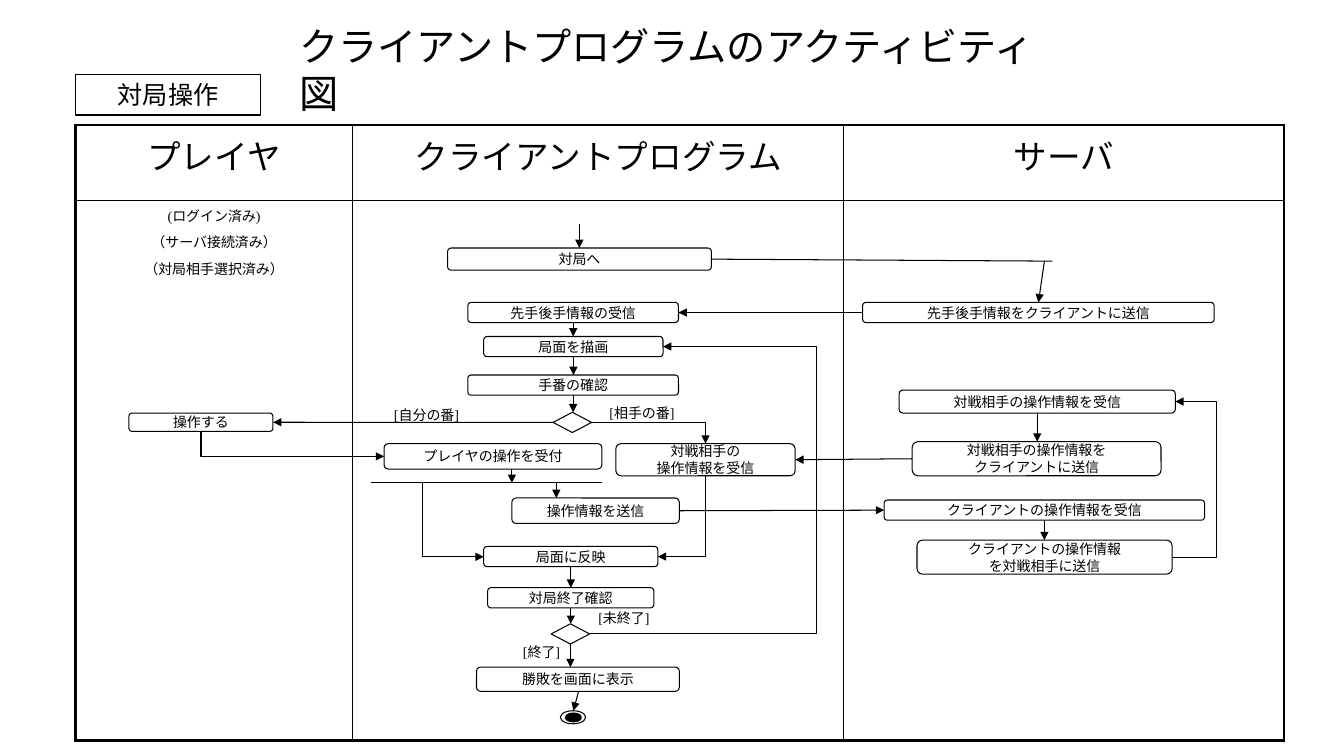
from pptx import Presentation
from pptx.dml.color import RGBColor
from pptx.enum.shapes import MSO_CONNECTOR, MSO_SHAPE
from pptx.enum.text import MSO_ANCHOR, PP_ALIGN
from pptx.oxml.ns import qn
from pptx.util import Cm, Pt
from lxml import etree

BLACK = RGBColor(0, 0, 0)
WHITE = RGBColor(255, 255, 255)
FONT = "Times New Roman"
CENTER, LEFT, MIDDLE = PP_ALIGN.CENTER, PP_ALIGN.LEFT, MSO_ANCHOR.MIDDLE
STRAIGHT, ELBOW = MSO_CONNECTOR.STRAIGHT, MSO_CONNECTOR.ELBOW
ROUNDED, DIAMOND = MSO_SHAPE.ROUNDED_RECTANGLE, MSO_SHAPE.DIAMOND
OVAL, RECTANGLE = MSO_SHAPE.OVAL, MSO_SHAPE.RECTANGLE

# All positions and sizes are in centimetres: left, top, width, height
TITLE = ("クライアントプログラムのアクティビティ図", (7.29, 0.43, 19.15, 1.45))
OPERATION = ("対局操作", (1.9, 1.88, 4.67, 1.02))

LANES_AT = (1.9, 3.15)
LANE_WIDTHS = (6.99, 12.37, 11.1)
LANE_HEIGHTS = (1.9, 13.61)
LANES = ("プレイヤ", "クライアントプログラム", "サーバ")
PRECONDITIONS = "(ログイン済み)\n（サーバ接続済み）\n（対局相手選択済み）"

ACTIVITIES = {
    "operate": ("操作する", (3.25, 10.41, 3.63, 0.46)),
    "start": ("対局へ", (11.28, 6.25, 6.65, 0.56)),
    "get_order": ("先手後手情報の受信", (11.79, 7.62, 5.31, 0.51)),
    "draw": ("局面を描画", (12.19, 8.48, 4.52, 0.51)),
    "check_turn": ("手番の確認", (11.79, 9.45, 5.31, 0.51)),
    "accept": ("プレイヤの操作を受付", (9.68, 11.18, 5.49, 0.64)),
    "get_move": ("対戦相手の\n操作情報を受信", (15.52, 11.18, 4.52, 0.81)),
    "send_move": ("操作情報を送信", (12.9, 12.55, 4.22, 0.64)),
    "apply": ("局面に反映", (12.19, 13.77, 4.39, 0.51)),
    "check_end": ("対局終了確認", (12.29, 14.81, 4.19, 0.51)),
    "result": ("勝敗を画面に表示", (12.01, 16.81, 5.11, 0.61)),
    "server_order": ("先手後手情報をクライアントに送信", (21.74, 7.62, 8.86, 0.51)),
    "server_get_rival": ("対戦相手の操作情報を受信", (22.66, 9.83, 6.96, 0.58)),
    "server_to_client": ("対戦相手の操作情報を\nクライアントに送信", (22.99, 11.13, 6.27, 0.86)),
    "server_get_client": ("クライアントの操作情報を受信", (22.28, 12.6, 8.08, 0.51)),
    "server_to_rival": ("クライアントの操作情報\nを対戦相手に送信", (23.11, 13.61, 6.43, 0.86)),
}
DECISIONS = {
    "whose_turn": (13.94, 10.39, 0.97, 0.51),
    "finished": (13.89, 15.72, 0.97, 0.51),
}
GUARDS = [
    ("[自分の番]", (9.68, 10.11, 3.56, 0.58)),
    ("[相手の番]", (15.11, 10.08, 3.48, 0.58)),
    ("[未終了]", (14.83, 15.24, 3.56, 0.58)),
    ("[終了]", (12.93, 16.08, 2.44, 0.58)),
]
END_RING, END_DOT = (14.12, 17.91, 0.64, 0.33), (14.27, 17.99, 0.36, 0.18)

DOWNWARD = [
    ("get_order", "draw"), ("draw", "check_turn"), ("check_turn", "whose_turn"),
    ("apply", "check_end"), ("check_end", "finished"), ("finished", "result"),
    ("server_get_rival", "server_to_client"), ("server_get_client", "server_to_rival"),
]
SIDEWAYS = [
    ("server_order", "get_order"), ("server_to_client", "get_move"),
    ("whose_turn", "operate"), ("send_move", "server_get_client"),
]
DOWN_THEN_SIDEWAYS = [("get_move", "apply"), ("operate", "accept")]
LOOPS = [("finished", "draw", 20.57), ("server_to_rival", "server_get_rival", 30.66)]
FORK_Y = 12.17
OTHER_LINES = [  # from, to, arrowhead
    ((14.6, 5.64), (14.6, 6.25), True),
    ((17.93, 6.53), (26.52, 6.58), False),
    ((26.32, 6.58), (26.17, 7.62), True),
    ((9.35, FORK_Y), (15.16, FORK_Y), False),
    ((12.9, 11.82), (12.9, FORK_Y), True),
    ((14.02, FORK_Y), (14.02, 12.55), True),
    ((10.64, FORK_Y), (10.64, 14.03), False),
    ((10.64, 14.03), (12.19, 14.03), True),
    ((14.58, 17.42), (14.45, 17.91), True),
]

prs = Presentation()
prs.slide_width, prs.slide_height = Cm(33.87), Cm(19.05)
slide = prs.slides.add_slide(prs.slide_layouts[6])
shapes = slide.shapes
places = DECISIONS | {name: place for name, (_, place) in ACTIVITIES.items()}


def set_font(paragraph, size, align):
    paragraph.alignment = align
    paragraph.font.size = Pt(size)
    paragraph.font.name = FONT
    paragraph.font.color.rgb = BLACK


def add_node(kind, place, text="", size=10, fill=WHITE, weight=0.75):
    node = shapes.add_shape(kind, *map(Cm, place))
    node.shadow.inherit = False
    node.fill.solid()
    node.fill.fore_color.rgb = fill
    node.line.color.rgb = BLACK
    node.line.width = Pt(weight)
    if text:
        frame = node.text_frame
        frame.word_wrap = False
        frame.vertical_anchor = MIDDLE
        frame.paragraphs[0].text = text
        set_font(frame.paragraphs[0], size, CENTER)


def add_label(text, place, size):
    frame = shapes.add_textbox(*map(Cm, place)).text_frame
    frame.word_wrap = True
    frame.paragraphs[0].text = text
    set_font(frame.paragraphs[0], size, LEFT)


def add_line(start, end, arrow=True, kind=STRAIGHT):
    line = shapes.add_connector(kind, *map(Cm, start + end))
    line.line.color.rgb = BLACK
    line.line.width = Pt(0.75)
    properties = line._element.spPr
    if arrow:
        etree.SubElement(properties.find(qn("a:ln")), qn("a:tailEnd"), type="triangle")
    etree.SubElement(properties, qn("a:effectLst"))
    return properties


def add_corner(start, end, down_first=False):
    """Draw an arrow with one right-angled bend."""
    if down_first:  # the same bend, turned a quarter about its centre
        mid_x, mid_y = (start[0] + end[0]) / 2, (start[1] + end[1]) / 2
        half_x, half_y = (end[0] - start[0]) / 2, (end[1] - start[1]) / 2
        start, end = (mid_x - half_y, mid_y + half_x), (mid_x + half_y, mid_y - half_x)
    properties = add_line(start, end, kind=ELBOW)
    properties.find(qn("a:prstGeom")).set("prst", "bentConnector2")
    if down_first:
        properties.find(qn("a:xfrm")).set("rot", str(90 * 60000))


def add_loop(start, end, turn_x):
    """Draw an arrow that goes out to turn_x and comes back."""
    geometry = add_line(start, end, kind=ELBOW).find(qn("a:prstGeom"))
    share = round((turn_x - start[0]) / (end[0] - start[0]) * 100000)
    guides = geometry.find(qn("a:avLst"))
    etree.SubElement(guides, qn("a:gd"), name="adj1", fmla=f"val {share}")


def side(name, across, down):
    """Point on a node at the given shares of its width and height."""
    left, top, width, height = places[name]
    return left + width * across, top + height * down


def set_borders(cell, weights):
    properties = cell._tc.get_or_add_tcPr()
    for edge, weight in zip("LRTB", weights):
        border = etree.SubElement(properties, qn(f"a:ln{edge}"), w=str(Pt(weight)))
        fill = etree.SubElement(border, qn("a:solidFill"))
        etree.SubElement(fill, qn("a:srgbClr"), val=str(BLACK))


lanes = shapes.add_table(2, 3, *map(Cm, LANES_AT + (sum(LANE_WIDTHS), sum(LANE_HEIGHTS)))).table
lanes.first_row = lanes.horz_banding = False
for column, width in zip(lanes.columns, LANE_WIDTHS):
    column.width = Cm(width)
for row, height in zip(lanes.rows, LANE_HEIGHTS):
    row.height = Cm(height)
for r, (texts, size) in enumerate([(LANES, 24), ((PRECONDITIONS, "", ""), 10)]):
    for c, text in enumerate(texts):
        cell = lanes.cell(r, c)
        outer_edges = (c == 0, c == 2, r == 0, r == 1)
        set_borders(cell, [2.25 if outer else 1 for outer in outer_edges])
        cell.fill.background()
        cell.text = text
        for paragraph in cell.text_frame.paragraphs:
            set_font(paragraph, size, CENTER)
            paragraph.space_before = Pt(size * 0.2)
            paragraph.space_after = Pt(size * 0.24)

for text, place in ACTIVITIES.values():
    add_node(ROUNDED, place, text)
for place in DECISIONS.values():
    add_node(DIAMOND, place)
add_node(OVAL, END_RING)
add_node(OVAL, END_DOT, fill=BLACK, weight=2)

for source, target in DOWNWARD:
    x, y = side(source, 0.5, 1)
    add_line((x, y), (x, places[target][1]))
for source, target in SIDEWAYS:
    rightward = places[source][0] < places[target][0]
    add_line(side(source, int(rightward), 0.5), side(target, int(not rightward), 0.5))
for source, target in DOWN_THEN_SIDEWAYS:
    rightward = places[source][0] < places[target][0]
    add_corner(side(source, 0.5, 1), side(target, int(not rightward), 0.5), down_first=True)
add_corner(side("whose_turn", 1, 0.5), side("get_move", 0.5, 0))
for source, target, turn_x in LOOPS:
    add_loop(side(source, 1, 0.5), side(target, 1, 0.5), turn_x)
for start, end, arrow in OTHER_LINES:
    add_line(start, end, arrow)

for text, place in GUARDS:
    add_label(text, place, 10)
add_label(*TITLE, 28)
add_node(RECTANGLE, OPERATION[1], OPERATION[0], 18)

prs.save("out.pptx")
